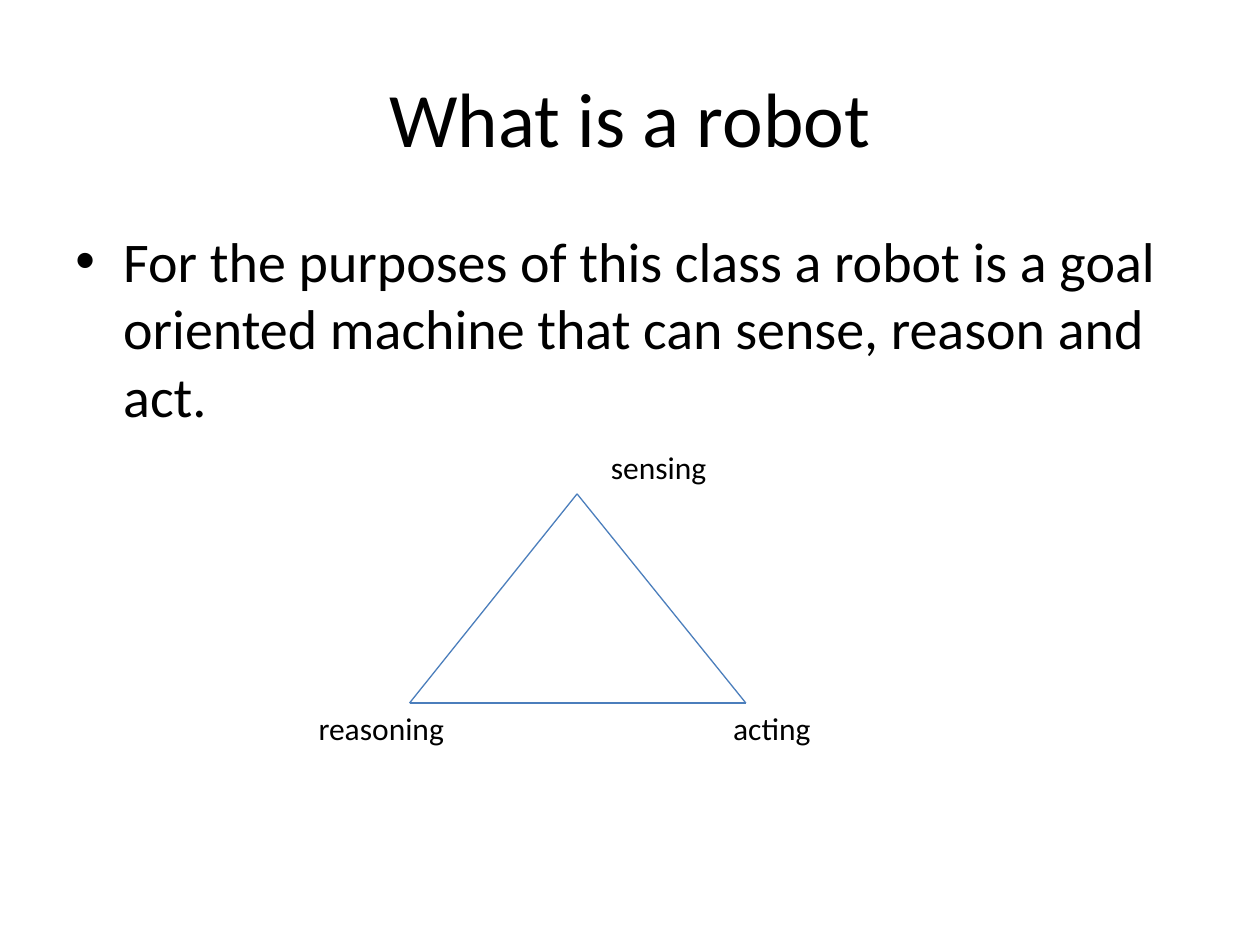
from itertools import combinations

from lxml.etree import SubElement
from pptx import Presentation
from pptx.dml.color import RGBColor
from pptx.enum.shapes import MSO_CONNECTOR
from pptx.enum.text import MSO_ANCHOR, PP_ALIGN
from pptx.oxml.ns import qn
from pptx.util import Inches, Pt

COLORS = {"text": "000000", "edge": "4B7EBC"}
FONT = "Calibri"

TITLE = "What is a robot"
DEFINITION = ("For the purposes of this class a robot is a goal oriented "
              "machine that can sense, reason and act.")
CORNERS = {"reasoning": (3.25, 5.58), "sensing": (4.58, 3.92), "acting": (5.92, 5.58)}
LABELS = [  # text, box
    ("sensing", (4.75, 3.51, 0.97, 0.4)),
    ("reasoning", (2.43, 5.58, 1.21, 0.4)),
    ("acting", (5.72, 5.58, 0.82, 0.4)),
]


def add_text(s, text, box, size, wrap=True, anchor=MSO_ANCHOR.TOP, align=PP_ALIGN.LEFT):
    tf = s.shapes.add_textbox(*map(Inches, box)).text_frame
    tf.word_wrap = wrap
    tf.vertical_anchor = anchor
    p = tf.paragraphs[0]
    p.alignment = align
    r = p.add_run()
    r.text = text
    for name, value in {"name": FONT, "size": Pt(size)}.items():
        setattr(r.font, name, value)
    r.font.color.rgb = RGBColor.from_string(COLORS["text"])
    return p


def add_bullet(p, indent, space_before):
    p.space_before = Pt(space_before)
    pPr = p._p.get_or_add_pPr()
    pPr.set("marL", str(Inches(indent)))
    pPr.set("indent", str(-Inches(indent)))
    SubElement(pPr, qn("a:buFont")).set("typeface", "Arial")
    SubElement(pPr, qn("a:buChar")).set("char", "•")


def add_edge(s, start, end):
    line = s.shapes.add_connector(MSO_CONNECTOR.STRAIGHT, *map(Inches, start + end))
    line.line.color.rgb = RGBColor.from_string(COLORS["edge"])
    line.line.width = Pt(0.75)
    SubElement(line._element.spPr, qn("a:effectLst"))


def main():
    prs = Presentation()
    prs.slide_width, prs.slide_height = Inches(10), Inches(7.5)
    s = prs.slides.add_slide(prs.slide_layouts[6])

    add_text(s, TITLE, (0.5, 0.3, 9, 1.25), 44,
             anchor=MSO_ANCHOR.MIDDLE, align=PP_ALIGN.CENTER)
    p = add_text(s, DEFINITION, (0.5, 1.75, 9, 4.95), 32)
    add_bullet(p, indent=0.38, space_before=6.4)

    for start, end in combinations(CORNERS.values(), 2):
        add_edge(s, start, end)
    for text, box in LABELS:
        add_text(s, text, box, 18, wrap=False)

    prs.save("out.pptx")


if __name__ == "__main__":
    main()
